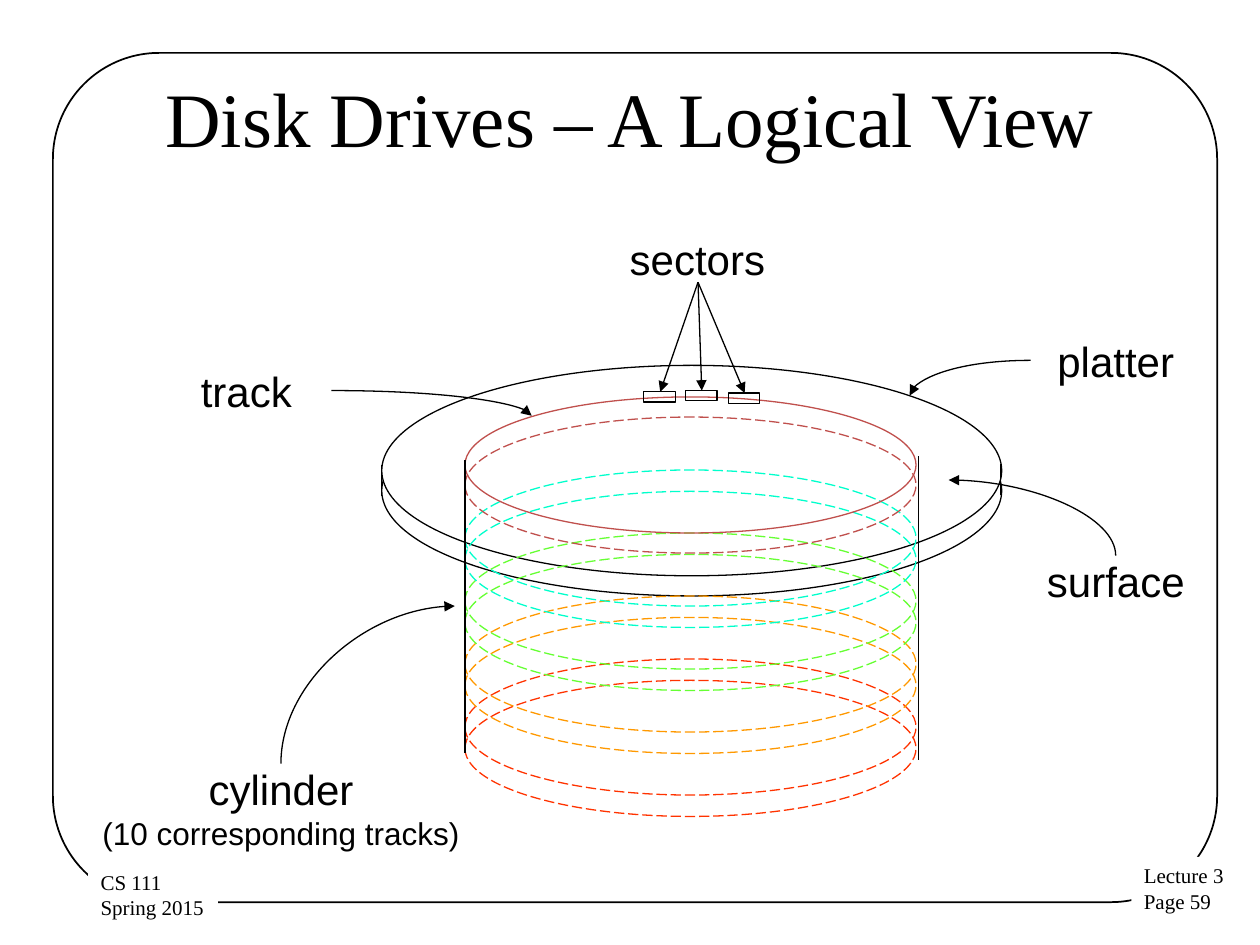
from pptx import Presentation
from pptx.dml.color import RGBColor
from pptx.enum.dml import MSO_LINE
from pptx.enum.shapes import MSO_CONNECTOR, MSO_SHAPE
from pptx.enum.text import MSO_ANCHOR, PP_ALIGN
from pptx.oxml.ns import qn
from pptx.util import Inches, Pt
from lxml import etree

STRAIGHT, CURVE = MSO_CONNECTOR.STRAIGHT, MSO_CONNECTOR.CURVE
OVAL, RECT, ROUNDED = MSO_SHAPE.OVAL, MSO_SHAPE.RECTANGLE, MSO_SHAPE.ROUNDED_RECTANGLE
LONG_DASH = MSO_LINE.LONG_DASH
LEFT, CENTER = PP_ALIGN.LEFT, PP_ALIGN.CENTER
TOP, MIDDLE = MSO_ANCHOR.TOP, MSO_ANCHOR.MIDDLE
SITE_TOP, SITE_LEFT, SITE_RIGHT = 0, 1, 3

THEME = {
    "ink": "000000", "paper": "FFFFFF", "track": "C0504D",
    "cylinder": ["FF3300", "FF9900", "66FF33", "00FFCC"],
    "serif": "Times New Roman", "sans": "Arial",
    "title": 44, "label": 24, "note": 18, "footer": 12,
    "line": 0.75, "frame": 1,
}

prs = Presentation()
prs.slide_width, prs.slide_height = Inches(10), Inches(7.5)
slide = prs.slides.add_slide(prs.slide_layouts[5])
shapes = slide.shapes


def write_text(holder, lines, box, font=THEME["sans"], align=CENTER,
               anchor=TOP, margins=(0, 0), wrap=True):
    """Place a text holder and fill it with (text, size) lines."""
    holder.left, holder.top, holder.width, holder.height = map(Inches, box)
    frame = holder.text_frame
    frame.word_wrap, frame.vertical_anchor = wrap, anchor
    frame.margin_left = frame.margin_right = Inches(margins[0])
    frame.margin_top = frame.margin_bottom = Inches(margins[1])
    for number, (text, size) in enumerate(lines):
        paragraph = frame.add_paragraph() if number else frame.paragraphs[0]
        paragraph.alignment = align
        run = paragraph.add_run()
        run.text = text
        run.font.size, run.font.name = Pt(size), font
        run.font.color.rgb = RGBColor.from_string(THEME["ink"])
    return holder


def draw(kind, box, color=THEME["ink"], fill=None, dash=None, arrow=None):
    """Draw an outline in a box, or a connector between two points."""
    is_connector = isinstance(kind, MSO_CONNECTOR)
    if is_connector:
        item = shapes.add_connector(kind, *map(Inches, box))
        properties = item._element.spPr
        if kind is CURVE:
            properties.find(qn("a:prstGeom")).set("prst", "curvedConnector2")
    else:
        item = shapes.add_shape(kind, *map(Inches, box))
        item.shadow.inherit = False
        if fill:
            item.fill.solid()
            item.fill.fore_color.rgb = RGBColor.from_string(fill)
        else:
            item.fill.background()
    item.line.color.rgb = RGBColor.from_string(color)
    item.line.width = Pt(THEME["line"])
    if dash:
        item.line.dash_style = dash
    if arrow:
        etree.SubElement(properties.find(qn("a:ln")), qn("a:" + arrow), type="triangle")
    if is_connector:
        etree.SubElement(properties, qn("a:effectLst"))
    return item


# Page frame and footers
page_frame = draw(ROUNDED, (0.42, 0.42, 9.24, 6.74))
page_frame.adjustments[0] = 0.125
page_frame.line.width = Pt(THEME["frame"])
for lines, box in [
    (("Lecture 3", "Page 59"), (8.98, 6.8, 0.84, 0.51)),
    (("CS 111", "Spring 2015"), (0.7, 6.85, 1.03, 0.51)),
]:
    footer = shapes.add_textbox(0, 0, 0, 0)
    write_text(footer, [(line, THEME["footer"]) for line in lines], box,
               font=THEME["serif"], align=LEFT, margins=(0.1, 0.05), wrap=False)
    footer.fill.solid()
    footer.fill.fore_color.rgb = RGBColor.from_string(THEME["paper"])

# Title
write_text(shapes.title, [("Disk Drives – A Logical View", THEME["title"])],
           (0.5, 0.3, 9, 1.25), font=THEME["serif"], anchor=MIDDLE, margins=(0.1, 0.05))

# Platter: lower edge, upper surface, rim sides
draw(OVAL, (3.03, 3.06, 4.92, 1.67))
draw(OVAL, (3.03, 2.9, 4.92, 1.67), fill=THEME["paper"])
for x, rim_top in [(3.03, 3.69), (7.94, 3.68)]:
    draw(STRAIGHT, (x, rim_top + 0.25, x, rim_top))

# Cylinder: a pair of tracks for each platter, from the bottom up
for level, color in enumerate(THEME["cylinder"]):
    for offset in (0, 0.17):
        draw(OVAL, (3.69, 5.4 - 0.5 * level - offset, 3.58, 1.08), color, dash=LONG_DASH)
draw(OVAL, (3.69, 3.31, 3.58, 1.08), THEME["track"], dash=LONG_DASH)
draw(OVAL, (3.69, 3.15, 3.58, 1.08), THEME["track"])
draw(STRAIGHT, (7.29, 3.62, 7.29, 6.03))
draw(STRAIGHT, (3.69, 3.65, 3.69, 5.98))

# Labels
labels = {}
for name, x, y in [("platter", 8.18, 2.66), ("surface", 8.18, 4.41),
                   ("track", 1.28, 2.9), ("sectors", 4.86, 1.85)]:
    labels[name] = write_text(shapes.add_textbox(0, 0, 0, 0),
                              [(name, THEME["label"])], (x, y, 1.35, 0.4))
labels["cylinder"] = write_text(
    shapes.add_textbox(0, 0, 0, 0),
    [("cylinder", THEME["label"]), ("(10 corresponding tracks)", THEME["note"])],
    (0.69, 6.06, 3.08, 1.03))

# Curved arrows: sideways out of the label, or down onto its top
for name, site, ends in [("track", SITE_RIGHT, (2.63, 3.1, 4.22, 3.3)),
                         ("platter", SITE_LEFT, (8.18, 2.86, 7.22, 3.14))]:
    draw(CURVE, ends, arrow="tailEnd").begin_connect(labels[name], site)
for name, ends in [("cylinder", (3.61, 4.81, 2.23, 6.06)),
                   ("surface", (7.53, 3.81, 8.85, 4.41))]:
    draw(CURVE, ends, arrow="headEnd").end_connect(labels[name], SITE_TOP)

# Sectors and their arrows
for x, y in [(5.11, 3.11), (5.44, 3.1), (5.78, 3.12)]:
    draw(RECT, (x, y, 0.25, 0.08))
    draw(STRAIGHT, (5.54, 2.24, x + 0.13, y), arrow="tailEnd")

prs.save("out.pptx")
